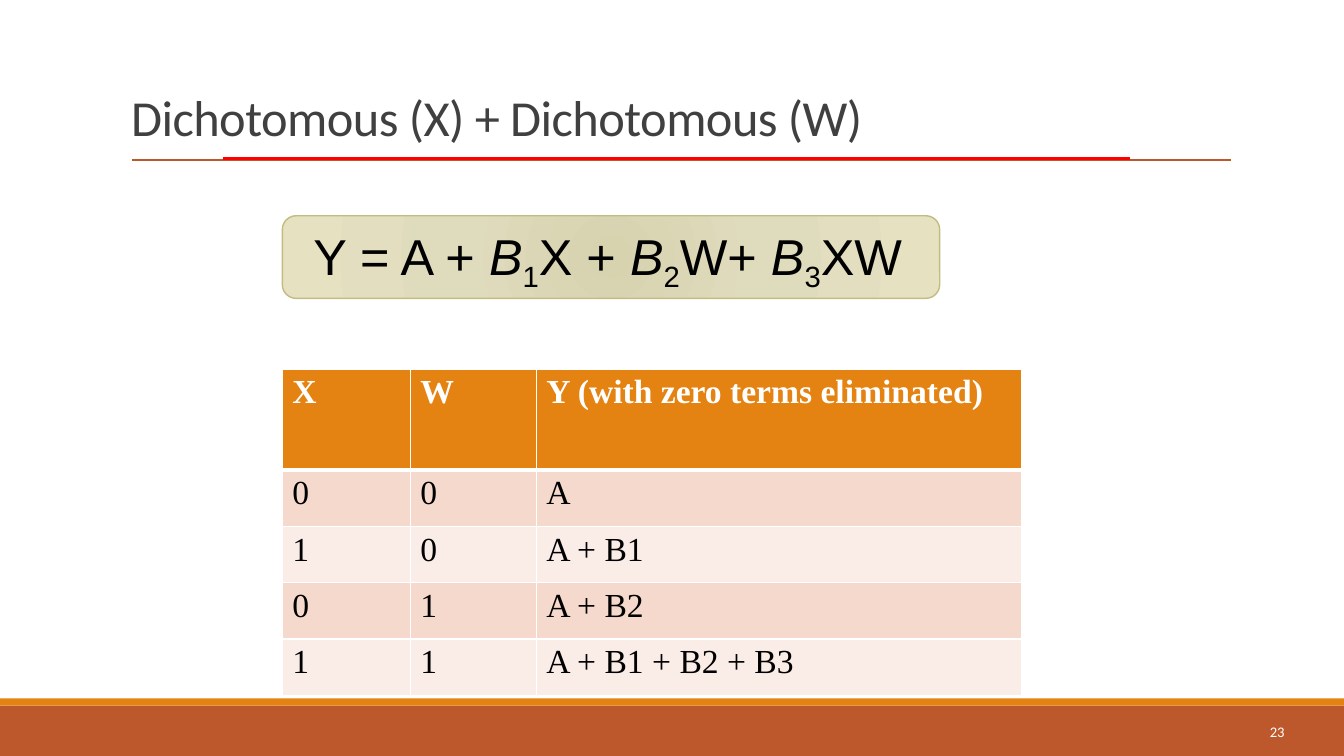
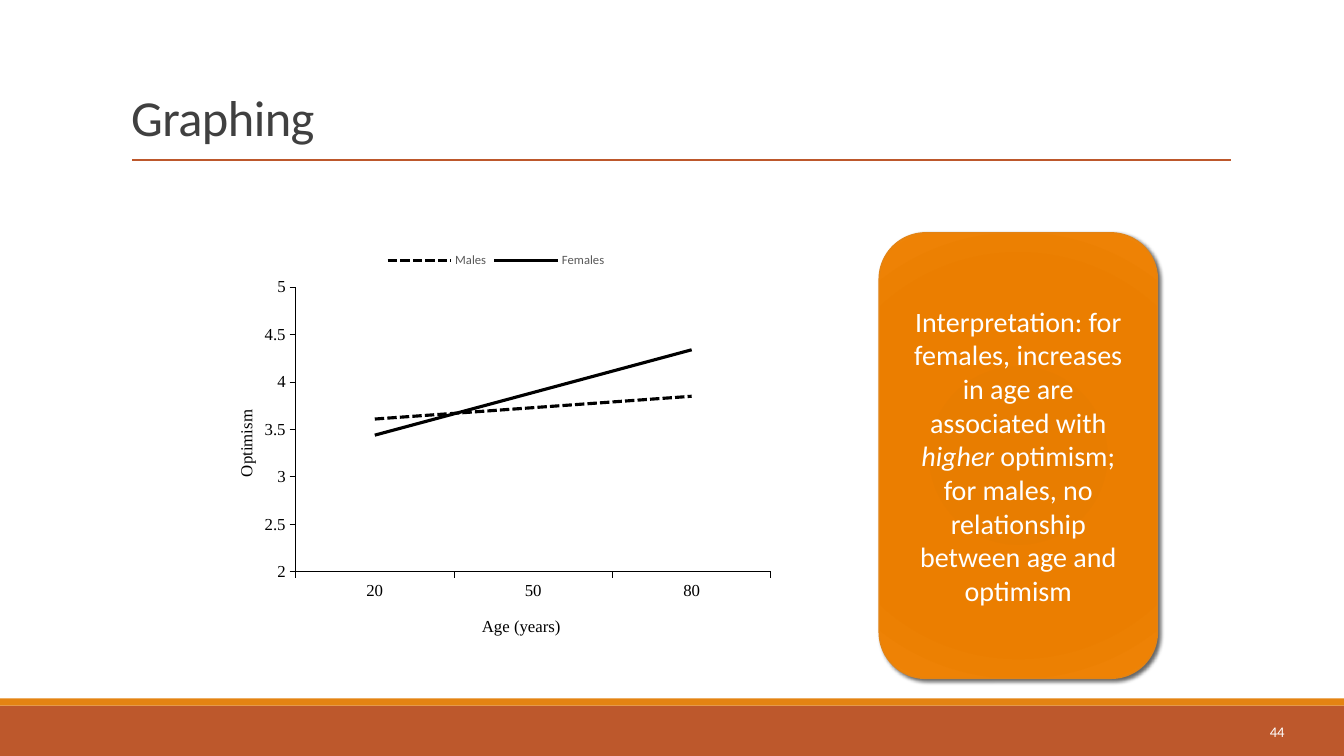
from pptx import Presentation
from pptx.chart.data import CategoryChartData as ChartData
from pptx.dml.color import RGBColor
from pptx.enum.chart import XL_CHART_TYPE as Kind, XL_LEGEND_POSITION as Spot
from pptx.enum.chart import XL_MARKER_STYLE as Marker, XL_TICK_MARK as Tick
from pptx.enum.dml import MSO_LINE as Dash
from pptx.enum.shapes import MSO_CONNECTOR as Conn, MSO_SHAPE as Form
from pptx.enum.text import MSO_ANCHOR as Anchor, MSO_AUTO_SIZE as Fit, PP_ALIGN as Align
from pptx.oxml import parse_xml as to_xml
from pptx.oxml.ns import nsdecls, qn
from pptx.util import Inches, Pt

RUST = RGBColor(0xBD, 0x58, 0x2C)
ORANGE = RGBColor(0xE4, 0x83, 0x12)
RED = RGBColor(0xFF, 0, 0)
WHITE = RGBColor(0xFF, 0xFF, 0xFF)
BLACK = RGBColor(0, 0, 0)
DARK = RGBColor(0x40, 0x40, 0x40)
GRAY = RGBColor(0x59, 0x59, 0x59)
OLIVE = RGBColor(0xC2, 0xBC, 0x80)
ROSE = RGBColor(0xF5, 0xD9, 0xCC)
BLUSH = RGBColor(0xFA, 0xED, 0xE7)
SAND = [(0, "D7D3AF"), (45, "DFDBBD"), (100, "E5E1C1")]
AMBER = [(0, "E57B00"), (34, "E87D00"), (70, "EB7E00"), (100, "EF8407")]
SANS, SERIF, PLAIN = "Calibri", "Times New Roman", "Arial"


def style(font, size, color, name=SANS, bold=False):
    font.size, font.name, font.bold = Pt(size), name, bold
    font.color.rgb = color


def add_run(para, text, size, color, name=SANS, bold=False, italic=False, **attrs):
    """Add a run; attrs are extra run attributes such as baseline or spc."""
    run = para.add_run()
    run.text = text
    style(run.font, size, color, name, bold)
    run.font.italic = italic
    props = run._r.get_or_add_rPr()
    for key, value in attrs.items():
        props.set(key, str(value))


def add_box(slide, form, box, fill=None, line=None):
    shape = slide.shapes.add_shape(form, *map(Inches, box))
    shape.shadow.inherit = False
    if fill:
        shape.fill.solid()
        shape.fill.fore_color.rgb = fill
    if line:
        shape.line.color.rgb = line
        shape.line.width = Pt(1)
    else:
        shape.line.fill.background()
    return shape


def add_glow(shape, stops):
    """Fill a shape with a gradient that spreads from its centre."""
    marks = "".join(f'<a:gs pos="{pos * 1000}"><a:srgbClr val="{color}"/></a:gs>'
                    for pos, color in stops)
    shape.fill.background()
    props = shape.element.spPr
    props.replace(props.find(qn("a:noFill")), to_xml(
        f'<a:gradFill {nsdecls("a")}><a:gsLst>{marks}</a:gsLst><a:path path="circle">'
        '<a:fillToRect l="100000" t="100000" r="100000" b="100000"/></a:path></a:gradFill>'))


def add_shade(shape):
    shape.element.spPr.find(qn("a:effectLst")).append(to_xml(
        f'<a:outerShdw {nsdecls("a")} blurRad="38100" dist="25400" dir="2700000">'
        '<a:srgbClr val="000000"><a:alpha val="60000"/></a:srgbClr></a:outerShdw>'))


def add_line(slide, left, right, top, color, width):
    line = slide.shapes.add_connector(
        Conn.STRAIGHT, Inches(left), Inches(top), Inches(right), Inches(top))
    line.line.color.rgb = color
    line.line.width = Pt(width)
    line.element.spPr.append(to_xml(f'<a:effectLst {nsdecls("a")}/>'))
    return line


def add_text(slide, box):
    frame = slide.shapes.add_textbox(*map(Inches, box)).text_frame
    frame.word_wrap = True
    return frame


def set_base(slide):
    """Put the footer bands and the title rule on the slide's layout."""
    parts = [add_box(slide, Form.RECTANGLE, (0, 7, 13.33, 0.5), RUST),
             add_box(slide, Form.RECTANGLE, (0, 6.93, 13.33, 0.07), ORANGE),
             add_line(slide, 1.31, 12.21, 1.59, RUST, 1.5)]
    for part in parts:
        slide.slide_layout.shapes.element.append(part.element)


def add_slide(deck, title, number):
    slide = deck.slides.add_slide(deck.slide_layouts[5])
    head = slide.shapes.title
    head.left, head.top, head.width, head.height = map(Inches, (1.2, 0.31, 11, 1.2))
    frame = head.text_frame
    frame.auto_size = Fit.NONE
    frame.vertical_anchor = Anchor.BOTTOM
    para = frame.paragraphs[0]
    para.alignment, para.line_spacing = Align.LEFT, 0.85
    add_run(para, title, 36, DARK, spc=-40)
    foot = add_text(slide, (11.41, 7.06, 1.43, 0.4))
    foot.vertical_anchor = Anchor.MIDDLE
    foot.paragraphs[0].alignment = Align.RIGHT
    add_run(foot.paragraphs[0], number, 10.5, WHITE)
    return slide


def add_model(slide):
    """Show the regression formula on its panel."""
    panel = add_box(slide, Form.ROUNDED_RECTANGLE, (2.8, 2.14, 6.52, 0.82), line=OLIVE)
    add_glow(panel, SAND)
    para = add_text(slide, (3.01, 2.18, 7.03, 0.7)).paragraphs[0]
    add_run(para, "Y = A + ", 36, BLACK, PLAIN)
    for sub, term in (("1", "X + "), ("2", "W+ "), ("3", "XW")):
        add_run(para, "B", 36, BLACK, PLAIN, italic=True)
        add_run(para, sub, 36, BLACK, PLAIN, baseline=-25000)
        add_run(para, term, 36, BLACK, PLAIN)


def add_edges(props, top, bottom):
    """Give a cell white borders."""
    for at, (side, width) in enumerate((("L", 1), ("R", 1), ("T", top), ("B", bottom))):
        props.insert(at, to_xml(
            f'<a:ln{side} {nsdecls("a")} w="{Pt(width)}"><a:solidFill>'
            f'<a:srgbClr val="{WHITE}"/></a:solidFill></a:ln{side}>'))


def add_grid(slide, box, widths, heights, rows):
    table = slide.shapes.add_table(len(rows), len(widths), *map(Inches, box)).table
    for col, width in zip(table.columns, widths):
        col.width = Inches(width)
    for row, height in zip(table.rows, heights):
        row.height = Inches(height)
    for i, texts in enumerate(rows):
        fill = ORANGE if i == 0 else ROSE if i % 2 else BLUSH
        for j, text in enumerate(texts):
            cell = table.cell(i, j)
            cell.fill.solid()
            cell.fill.fore_color.rgb = fill
            add_edges(cell._tc.tcPr, 3 if i == 1 else 1, 3 if i == 0 else 1)
            add_run(cell.text_frame.paragraphs[0], text, 24,
                    BLACK if i else WHITE, SERIF, bold=i == 0)


def set_place(node, at, **spots):
    """Fix a chart part at fractions of the chart, as child number at."""
    old = node.find(qn("c:layout"))
    if old is not None:
        node.remove(old)
    inner = '<c:layoutTarget val="inner"/>' if "w" in spots else ""
    modes = '<c:xMode val="edge"/><c:yMode val="edge"/>'
    sizes = "".join(f'<c:{key} val="{value}"/>' for key, value in spots.items())
    node.insert(at, to_xml(f'<c:layout {nsdecls("c")}><c:manualLayout>{inner}{modes}{sizes}'
                           '</c:manualLayout></c:layout>'))


def set_axis(axis, title, x, y):
    axis.has_major_gridlines = False
    axis.major_tick_mark, axis.minor_tick_mark = Tick.OUTSIDE, Tick.NONE
    axis.format.line.color.rgb = BLACK
    axis.format.line.width = Pt(0.75)
    style(axis.tick_labels.font, 12, BLACK, SERIF)
    add_run(axis.axis_title.text_frame.paragraphs[0], title, 12, BLACK, SERIF)
    set_place(axis.axis_title.element, 1, x=x, y=y)


def add_plot(slide):
    data = ChartData()
    data.categories = ["20", "50", "80"]
    data.add_series("Males", (3.61, 3.73, 3.85))
    data.add_series("Females", (3.44, 3.89, 4.34))
    box = map(Inches, (2.08, 2.4, 5.68, 4.09))
    chart = slide.shapes.add_chart(Kind.LINE, *box, data).chart
    chart.has_title = False
    style(chart.font, 10, BLACK)
    chart.has_legend = True
    chart.legend.position = Spot.TOP
    chart.legend.include_in_layout = False
    style(chart.legend.font, 9, GRAY)
    set_axis(chart.category_axis, "Age (years)", 0.47, 0.9)
    value = chart.value_axis
    set_axis(value, "Optimism", 0.04, 0.4)
    value.axis_title.element.find(".//" + qn("a:bodyPr")).set("rot", "-5400000")
    value.minimum_scale, value.maximum_scale, value.major_unit = 2, 5, 0.5
    area = chart.element.find(".//" + qn("c:plotArea"))
    set_place(area, 0, x=0.15, y=0.11, w=0.83, h=0.69)
    plot = chart.plots[0]
    plot.vary_by_categories = False
    for series, dash in zip(plot.series, (Dash.SQUARE_DOT, Dash.SOLID)):
        series.smooth = False
        series.marker.style = Marker.NONE
        line = series.format.line
        line.color.rgb, line.width, line.dash_style = BLACK, Pt(2.25), dash


def add_note(slide):
    note = add_box(slide, Form.ROUNDED_RECTANGLE, (8.72, 2.31, 2.76, 4.42), line=ORANGE)
    add_glow(note, AMBER)
    add_shade(note)
    frame = note.text_frame
    frame.word_wrap, frame.vertical_anchor = True, Anchor.MIDDLE
    para = frame.paragraphs[0]
    para.alignment = Align.CENTER
    add_run(para, "Interpretation: for females, increases in age are associated with ", 20, WHITE)
    add_run(para, "higher ", 20, WHITE, italic=True)
    add_run(para, "optimism; for males, no relationship between age and optimism", 20, WHITE)


def main():
    deck = Presentation()
    deck.slide_width, deck.slide_height = Inches(13.33), Inches(7.5)

    slide = add_slide(deck, "Dichotomous (X) + Dichotomous (W)", "23")
    set_base(slide)
    add_line(slide, 2.21, 11.21, 1.57, RED, 2.25)
    add_grid(slide, (2.8, 3.66, 7.33, 3.24), (1.27, 1.25, 4.81), [1] + [0.56] * 4, [
        ("X", "W", "Y (with zero terms eliminated)"),
        ("0", "0", "A"),
        ("1", "0", "A + B1"),
        ("0", "1", "A + B2"),
        ("1", "1", "A + B1 + B2 + B3")])
    add_model(slide)

    slide = add_slide(deck, "Graphing", "44")
    add_note(slide)
    add_plot(slide)
    deck.save("out.pptx")


if __name__ == "__main__":
    main()
